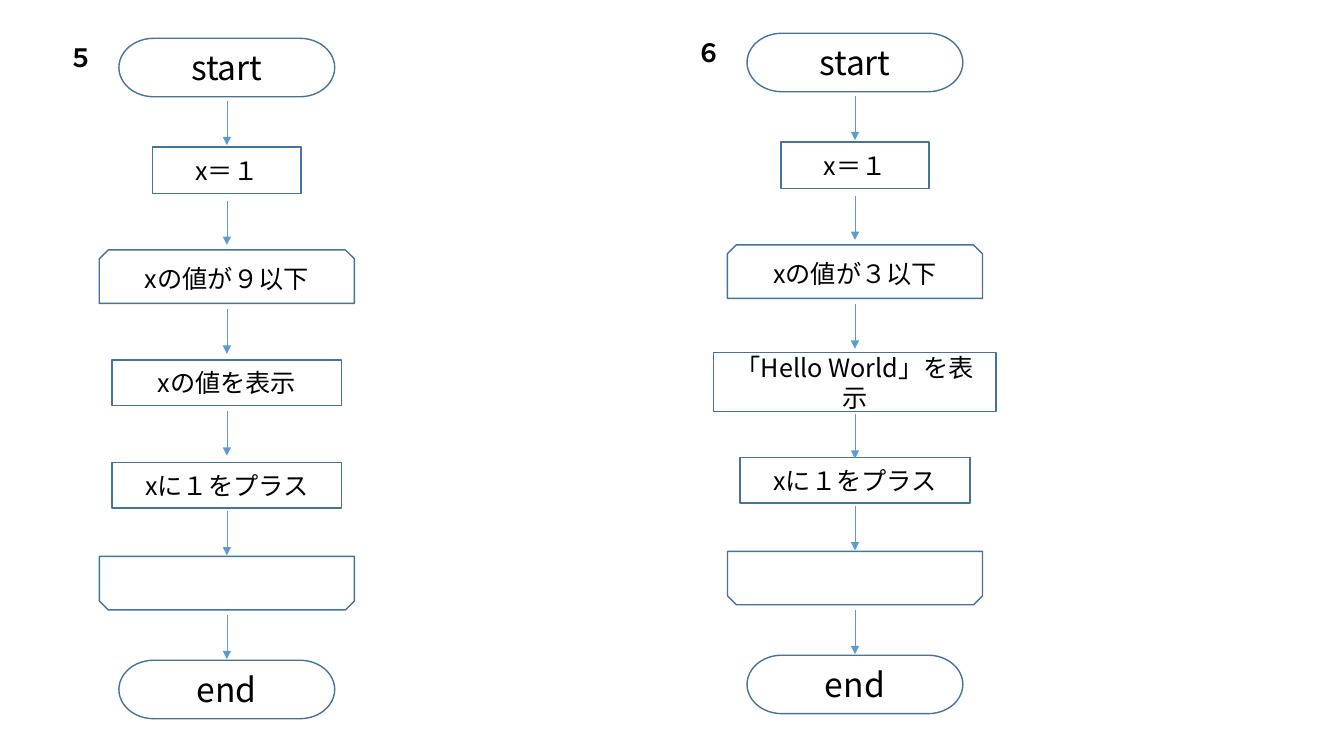
import pptx
import pptx.util
import pptx.dml.color
import pptx.enum.shapes
import pptx.enum.text
import pptx.oxml
import pptx.oxml.ns

RGBColor = pptx.dml.color.RGBColor
SHAPE = pptx.enum.shapes.MSO_SHAPE
ALIGN = pptx.enum.text.PP_ALIGN
ANCHOR = pptx.enum.text.MSO_ANCHOR

WHITE = RGBColor(0xFF, 0xFF, 0xFF)
BLACK = RGBColor(0x00, 0x00, 0x00)
OUTLINE = RGBColor(0x43, 0x73, 0x9E)
ARROW = RGBColor(0x5B, 0x9B, 0xD5)
FONT = "Noto Sans CJK JP"

SLIDE_W = pptx.util.Inches(13.33)
SLIDE_H = pptx.util.Inches(7.5)
COL = SLIDE_W / 1333
ROW = SLIDE_H / 750
AXIS = 167
ARROW_ROWS = 44

TERMINAL = (SHAPE.FLOWCHART_TERMINATOR, 214, 58)
ASSIGN = (SHAPE.FLOWCHART_PROCESS, 147, 46)
LOOP = (SHAPE.SNIP_2_SAME_RECTANGLE, 253, 53)
STEP = (SHAPE.FLOWCHART_PROCESS, 228, 45)
WIDE_STEP = (SHAPE.FLOWCHART_PROCESS, 280, 58)


def grid(*cells):
    return [round(n * (ROW if i % 2 else COL)) for i, n in enumerate(cells)]


def write(sp, text, size=18, bold=False, align=ALIGN.CENTER, anchor=ANCHOR.MIDDLE):
    tf = sp.text_frame
    tf.word_wrap = True
    tf.vertical_anchor = anchor
    p = tf.paragraphs[0]
    p.alignment = align
    r = p.add_run()
    r.text = text
    r.font.size = pptx.util.Pt(size)
    r.font.bold = bold
    r.font.name = FONT
    r.font.color.rgb = BLACK
    ea = pptx.oxml.parse_xml(
        f'<a:ea {pptx.oxml.ns.nsdecls("a")} typeface="{FONT}"/>')
    r.font._element.find(pptx.oxml.ns.qn("a:latin")).addnext(ea)


def add_node(s, axis, top, kind, text="", size=18, rotation=0):
    preset, width, height = kind
    sp = s.shapes.add_shape(preset, *grid(axis - width / 2, top, width, height))
    sp.shadow.inherit = False
    sp.rotation = rotation
    sp.fill.solid()
    sp.fill.fore_color.rgb = WHITE
    sp.line.color.rgb = OUTLINE
    sp.line.width = pptx.util.Pt(1)
    if text:
        write(sp, text, size)


def add_arrow(s, axis, top):
    cx = s.shapes.add_connector(
        pptx.enum.shapes.MSO_CONNECTOR.STRAIGHT,
        *grid(axis, top, axis, top + ARROW_ROWS))
    cx.line.color.rgb = ARROW
    cx.line.width = pptx.util.Pt(0.5)
    ns = pptx.oxml.ns.nsdecls("a")
    cx.line._get_or_add_ln().append(
        pptx.oxml.parse_xml(f'<a:tailEnd {ns} type="triangle"/>'))
    cx._element.spPr.append(pptx.oxml.parse_xml(f"<a:effectLst {ns}/>"))


def add_flowchart(s, left, top, number, condition, action, action_kind=STEP,
                  action_top=319, action_exit=370):
    axis = left + AXIS
    label = s.shapes.add_textbox(*grid(left, top - 1, 69, 40))
    write(label, number, bold=True, align=ALIGN.LEFT, anchor=ANCHOR.TOP)
    add_node(s, axis, top, TERMINAL, "start", 24)
    add_node(s, axis, top + 108, ASSIGN, "x＝１")
    add_node(s, axis, top + 210, LOOP, condition)
    add_node(s, axis, top + action_top, action_kind, action)
    add_node(s, axis, top + 421, STEP, "xに１をプラス")
    add_node(s, axis, top + 514, LOOP, rotation=180)
    add_node(s, axis, top + 617, TERMINAL, "end", 24)
    for y in (62, 161, 269, action_exit, 469, 572):
        add_arrow(s, axis, top + y)


def main():
    prs = pptx.Presentation()
    prs.slide_width, prs.slide_height = SLIDE_W, SLIDE_H
    s = prs.slides.add_slide(prs.slide_layouts[6])
    add_flowchart(s, 58, 38, "５", "xの値が９以下", "xの値を表示")
    add_flowchart(s, 681, 33, "６", "xの値が３以下", "「Hello World」を表示",
                  WIDE_STEP, action_top=317, action_exit=378)
    prs.save("out.pptx")


if __name__ == "__main__":
    main()
